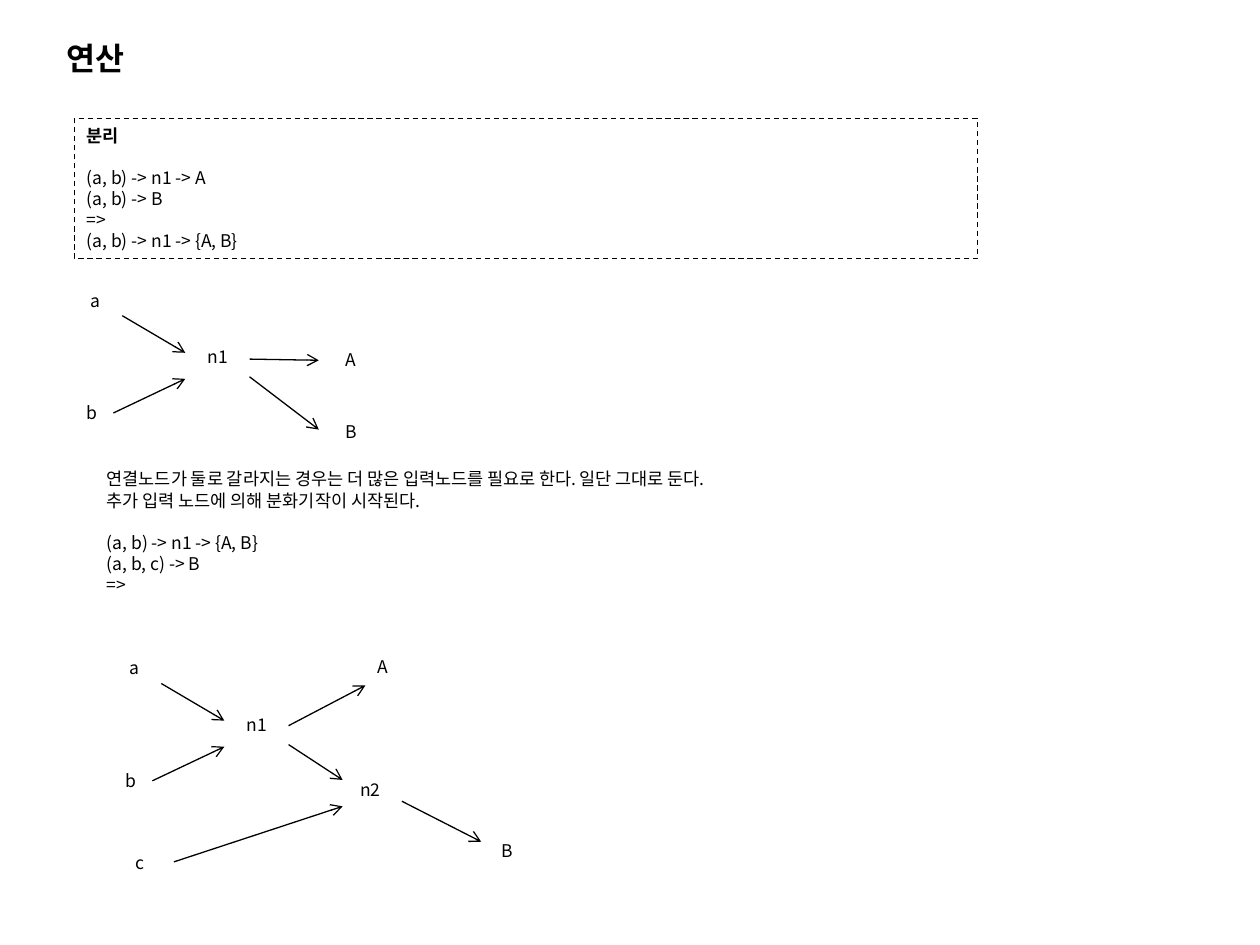
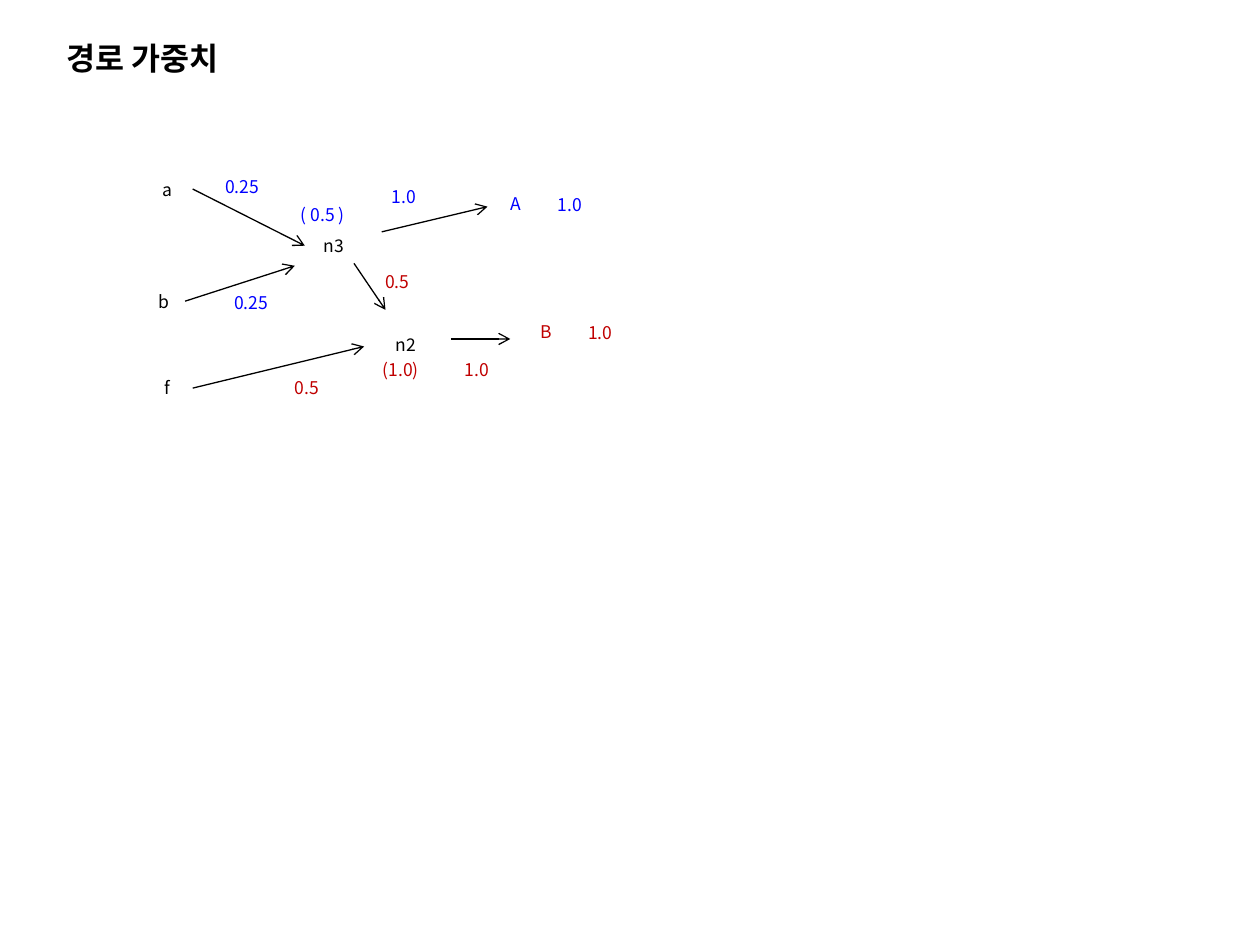
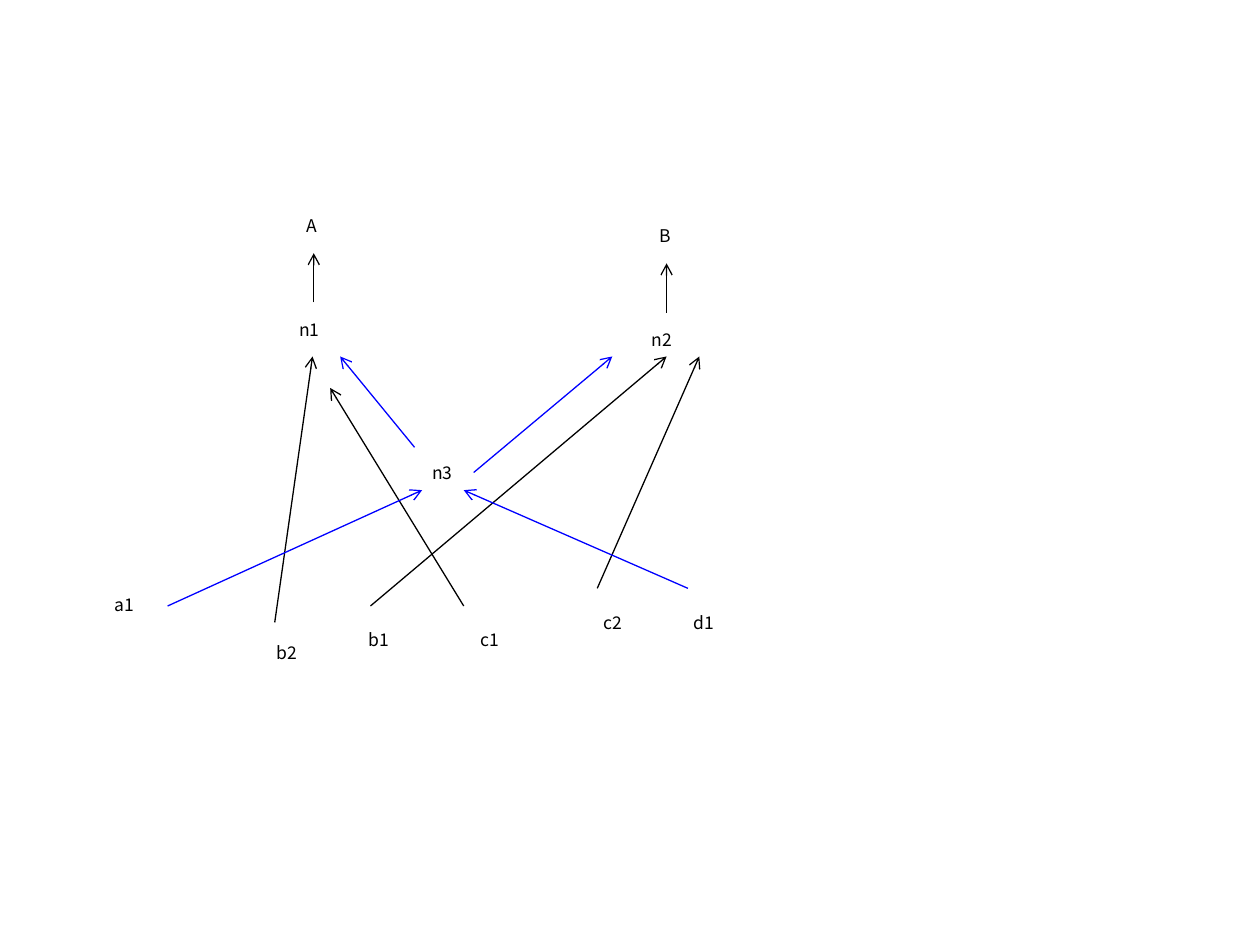
import dataclasses

import lxml.etree
import pptx
import pptx.dml.color
import pptx.enum.dml
import pptx.enum.shapes
import pptx.enum.text
import pptx.oxml.ns
import pptx.util

Pt = pptx.util.Pt
qn = pptx.oxml.ns.qn
LEFT = pptx.enum.text.PP_ALIGN.LEFT
CENTER = pptx.enum.text.PP_ALIGN.CENTER


@dataclasses.dataclass(frozen=True)
class Theme:
    font: str = "Noto Sans CJK KR"
    ink: str = "000000"
    blue: str = "0000FF"
    red: str = "C00000"
    title: float = 18
    body: float = 10
    gap: float = 12
    stroke: float = 0.75
    label_height: float = 19.4
    input_width: float = 22.3
    node_width: float = 30.2
    output_width: float = 42.5
    weight_width: float = 41
    wide_weight: float = 56


THEME = Theme()


def rgb(color):
    return pptx.dml.color.RGBColor.from_string(color)


def write(frame, lines, size=THEME.body, color=THEME.ink, align=LEFT,
          bold_lines=(), gap_before=()):
    frame.word_wrap = True
    frame.auto_size = pptx.enum.text.MSO_AUTO_SIZE.SHAPE_TO_FIT_TEXT
    frame.vertical_anchor = pptx.enum.text.MSO_ANCHOR.TOP
    for index, line in enumerate(lines):
        paragraph = frame.paragraphs[0] if index == 0 else frame.add_paragraph()
        paragraph.alignment = align
        if index in gap_before:
            paragraph.space_before = Pt(THEME.gap)
        run = paragraph.add_run()
        run.text = line
        run.font.name = THEME.font
        run.font.size = Pt(size)
        run.font.bold = index in bold_lines
        run.font.color.rgb = rgb(color)
        east_asian = lxml.etree.SubElement(run.font._element, qn("a:ea"))
        east_asian.set("typeface", THEME.font)


def text_block(slide, box, lines, **style):
    block = slide.shapes.add_textbox(*map(Pt, box))
    write(block.text_frame, lines, **style)


def title(slide, words):
    text_block(slide, (31, 18.7, 221, 28.8), [words],
               size=THEME.title, bold_lines=(0,))


def labels(slide, origin, width, places, **style):
    left, top = origin
    for words, x, y in places:
        text_block(slide, (left + x, top + y, width, THEME.label_height),
                   [words], **style)


def arrows(slide, origin, routes, color=THEME.ink):
    left, top = origin
    for x1, y1, x2, y2 in routes:
        arrow = slide.shapes.add_connector(
            pptx.enum.shapes.MSO_CONNECTOR.STRAIGHT,
            Pt(left + x1), Pt(top + y1), Pt(left + x2), Pt(top + y2))
        arrow.line.color.rgb = rgb(color)
        arrow.line.width = Pt(THEME.stroke)
        head = lxml.etree.SubElement(arrow.line._get_or_add_ln(), qn("a:tailEnd"))
        head.set("type", "arrow")
        lxml.etree.SubElement(arrow._element.spPr, qn("a:effectLst"))


def rule_panel(slide, box):
    panel = slide.shapes.add_shape(
        pptx.enum.shapes.MSO_SHAPE.RECTANGLE, *map(Pt, box))
    panel.shadow.inherit = False
    panel.fill.background()
    panel.line.color.rgb = rgb(THEME.ink)
    panel.line.width = Pt(THEME.stroke)
    panel.line.dash_style = pptx.enum.dml.MSO_LINE.DASH
    write(panel.text_frame,
          ["분리", "(a, b) -> n1 -> A", "(a, b) -> B", "=>",
           "(a, b) -> n1 -> {A, B}"],
          bold_lines=(0,), gap_before=(1,))


def merge_inputs(slide, origin):
    labels(slide, origin, THEME.input_width, [("a", 2, 0), ("b", 0, 64)])
    labels(slide, origin, THEME.node_width, [("n1", 69, 32.4)])
    arrows(slide, origin, [(27.4, 18.4, 63.4, 39.6), (22.3, 74, 63.4, 54.5)])


def shared_split(slide, origin):
    merge_inputs(slide, origin)
    labels(slide, origin, THEME.output_width,
           [("A", 147.6, 33.8), ("B", 147.6, 74.9)])
    arrows(slide, origin,
           [(100.1, 43.2, 139.7, 43.9), (100.1, 53.3, 139.7, 83.5)])


def branched_split(slide, origin):
    merge_inputs(slide, origin)
    labels(slide, origin, THEME.input_width, [("c", 5.8, 110.9)])
    labels(slide, origin, THEME.output_width,
           [("A", 144, -0.7), ("n2", 133.9, 69.2), ("B", 214.6, 104.4)])
    arrows(slide, origin,
           [(100.1, 42.5, 144, 19.5), (100.1, 53.3, 131, 73.5),
            (164.9, 85.7, 210.2, 108.8), (34.6, 120.3, 131, 88.6)])


def weighted_paths(slide, origin):
    labels(slide, origin, THEME.input_width,
           [("a", 2.2, 1.4), ("b", 0, 65.5), ("f", 3.6, 114.5)])
    labels(slide, origin, THEME.node_width,
           [("n2", 135.4, 90), ("n3", 94.3, 33.8)])
    labels(slide, origin, THEME.node_width, [("A", 200.9, 9.4)], color=THEME.blue)
    labels(slide, origin, THEME.node_width, [("B", 218.2, 82.8)], color=THEME.red)
    labels(slide, origin, THEME.wide_weight,
           [("0.25", 38.2, 0), ("0.25", 43.2, 66.2)], color=THEME.blue)
    labels(slide, origin, THEME.weight_width,
           [("( 0.5 )", 81.4, 15.8), ("1.0", 133.2, 5.8), ("1.0", 228.2, 10.1)],
           color=THEME.blue)
    labels(slide, origin, THEME.weight_width,
           [("0.5", 129.6, 54), ("0.5", 77.8, 114.5), ("(1.0)", 128.2, 104.4),
            ("1.0", 175, 104.4), ("1.0", 245.5, 83.5)],
           color=THEME.red)
    arrows(slide, origin,
           [(26.6, 10.8, 90.7, 43.2), (22.3, 74.9, 85, 54.7),
            (26.6, 124.6, 124.6, 100.8), (174.2, 96.5, 208.1, 96.5),
            (118.8, 53.3, 136.8, 79.9), (134.6, 35.3, 195.1, 20.9)])


def output_column(slide, origin, output, node):
    labels(slide, origin, THEME.output_width, [(output, 0, 0)], align=CENTER)
    labels(slide, origin, THEME.node_width, [(node, 6.8, 59)])
    arrows(slide, origin, [(22.3, 53.3, 22.3, 25.2)])


def shared_node_network(slide, origin):
    left, top = origin
    output_column(slide, (left + 107.3, top), "A", "n1")
    output_column(slide, (left + 308.9, top + 5.8), "B", "n2")
    labels(slide, origin, THEME.node_width, [("n3", 190.1, 141.1)])
    labels(slide, origin, THEME.output_width,
           [("a1", 0, 216.7), ("b2", 92.9, 244.1), ("b1", 145.4, 236.2),
            ("c1", 208.8, 236.2), ("c2", 279.4, 226.8), ("d1", 331.2, 226.8)],
           align=CENTER)
    arrows(slide, origin,
           [(107.3, 236.2, 128.9, 84.2), (215.3, 226.8, 139, 102.2),
            (162, 226.8, 331.2, 84.2), (291.6, 216.7, 349.9, 84.2)])
    arrows(slide, origin,
           [(46.1, 226.8, 191.5, 160.6), (343.4, 216.7, 215.3, 160.6),
            (221, 150.5, 300.2, 84.2), (187.2, 136.1, 144.7, 84.2)],
           color=THEME.blue)


def operation_slide(slide):
    rule_panel(slide, (42.5, 67.7, 516.2, 80))
    title(slide, "연산")
    shared_split(slide, (42.5, 162))
    text_block(slide, (54, 264.2, 516.2, 80),
               ["연결노드가 둘로 갈라지는 경우는 더 많은 입력노드를 필요로 한다. "
                "일단 그대로 둔다.",
                "추가 입력 노드에 의해 분화기작이 시작된다.",
                "(a, b) -> n1 -> {A, B}", "(a, b, c) -> B", "=>"],
               gap_before=(2,))
    branched_split(slide, (64.8, 372.2))


def weight_slide(slide):
    title(slide, "경로 가중치")
    weighted_paths(slide, (83.5, 97.2))


def network_slide(slide):
    shared_node_network(slide, (49.7, 119.5))


deck = pptx.Presentation()
deck.slide_width, deck.slide_height = Pt(720), Pt(540)
for build in (operation_slide, weight_slide, network_slide):
    build(deck.slides.add_slide(deck.slide_layouts[6]))
deck.save("out.pptx")
